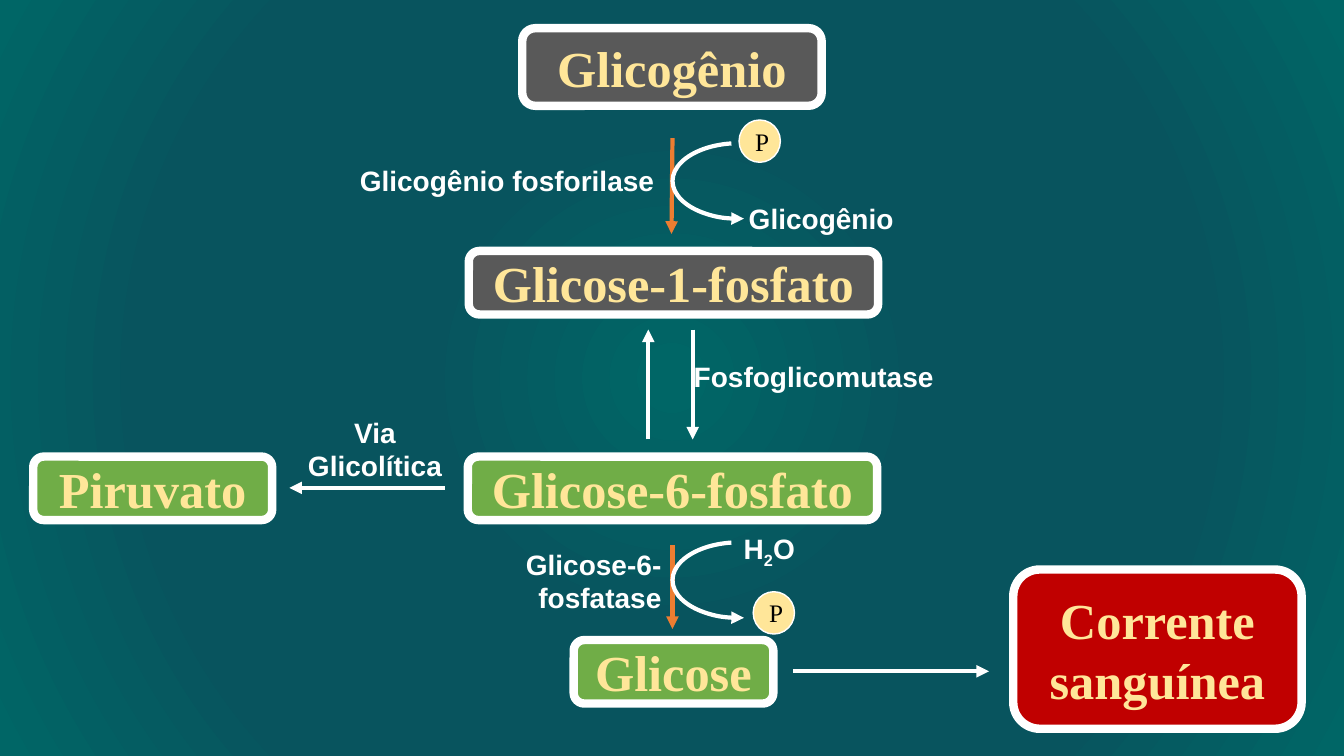
from lxml import etree
from pptx import Presentation
from pptx.dml.color import RGBColor
from pptx.enum.shapes import MSO_CONNECTOR, MSO_SHAPE
from pptx.enum.text import MSO_ANCHOR, PP_ALIGN
from pptx.oxml import parse_xml
from pptx.oxml.ns import nsdecls, qn
from pptx.util import Inches, Pt

ROUNDED, OVAL, ARC = MSO_SHAPE.ROUNDED_RECTANGLE, MSO_SHAPE.OVAL, MSO_SHAPE.ARC
STRAIGHT = MSO_CONNECTOR.STRAIGHT
CENTER, RIGHT = PP_ALIGN.CENTER, PP_ALIGN.RIGHT
MIDDLE = MSO_ANCHOR.MIDDLE

COLORS = {
    "teal": "006666",
    "deep": "08545E",
    "gray": "595959",
    "green": "70AD47",
    "red": "C00000",
    "cream": "FFE699",
    "orange": "ED7D31",
    "white": "FFFFFF",
    "black": "000000",
}


def style_text(shape, text, font, size, color, bold, align):
    frame = shape.text_frame
    frame.word_wrap = True
    frame.text = text
    paragraph = frame.paragraphs[0]
    paragraph.alignment = align
    run_font = paragraph.runs[0].font
    run_font.name, run_font.size, run_font.bold = font, Pt(size), bold
    run_font.color.rgb = RGBColor.from_string(COLORS[color])
    return paragraph


def style_line(shape, color, width, arrow_end=None):
    shape.line.color.rgb = RGBColor.from_string(COLORS[color])
    shape.line.width = Pt(width)
    if arrow_end:
        etree.SubElement(shape.line._get_or_add_ln(), qn(f"a:{arrow_end}"), type="triangle")


prs = Presentation()
prs.slide_width, prs.slide_height = Inches(13.33), Inches(7.5)
slide = prs.slides.add_slide(prs.slide_layouts[6])
shapes = slide.shapes

background = slide.background.fill
background.solid()
stops = "".join(
    f'<a:gs pos="{percent * 1000}"><a:srgbClr val="{COLORS[color]}"/></a:gs>'
    for percent, color in [(1, "teal"), (33, "deep"), (68, "deep"), (100, "teal")]
)
gradient = parse_xml(
    f'<a:gradFill {nsdecls("a")} rotWithShape="1"><a:gsLst>{stops}</a:gsLst>'
    '<a:path path="circle"><a:fillToRect l="50000" t="50000" r="50000" b="50000"/></a:path>'
    "</a:gradFill>"
)
solid = slide.element.find(".//" + qn("p:bgPr")).find(qn("a:solidFill"))
solid.getparent().replace(solid, gradient)

metabolites = [
    ("Glicogênio", "gray", 5.18, 0.28, 2.97, 0.77),
    ("Glicose-1-fosfato", "gray", 4.65, 2.49, 4.06, 0.63),
    ("Glicose-6-fosfato", "green", 4.64, 4.53, 4.06, 0.63),
    ("Piruvato", "green", 0.33, 4.53, 2.37, 0.63),
    ("Glicose", "green", 5.69, 6.35, 1.98, 0.63),
    ("Corrente sanguínea", "red", 10.05, 5.65, 2.86, 1.58),
]
for name, color, *place in metabolites:
    metabolite = shapes.add_shape(ROUNDED, *map(Inches, place))
    metabolite.shadow.inherit = False
    metabolite.fill.solid()
    metabolite.fill.fore_color.rgb = RGBColor.from_string(COLORS[color])
    style_line(metabolite, "white", 6)
    metabolite.text_frame.vertical_anchor = MIDDLE
    style_text(metabolite, name, "Times New Roman", 36, "cream", True, CENTER)

reactions = [
    ("orange", 6.67, 1.37, 6.66, 2.32),
    ("white", 6.43, 4.36, 6.43, 3.27),
    ("white", 6.87, 3.27, 6.87, 4.36),
    ("white", 4.41, 4.84, 2.87, 4.84),
    ("orange", 6.67, 5.41, 6.67, 6.24),
    ("white", 7.87, 6.66, 9.81, 6.66),
]
for color, *ends in reactions:
    reaction = shapes.add_connector(STRAIGHT, *map(Inches, ends))
    style_line(reaction, color, 3, "tailEnd")
    etree.SubElement(reaction._element.spPr, qn("a:effectLst"))

for top in (1.42, 5.38):
    exchange = shapes.add_shape(ARC, Inches(6.67), Inches(top), Inches(1.32), Inches(0.75))
    exchange.adjustments[0], exchange.adjustments[1] = 157.6, 47.06
    exchange.rotation = 180
    exchange.fill.background()
    style_line(exchange, "white", 3, "headEnd")
    exchange.shadow.inherit = False

for left, top in [(7.33, 1.19), (7.47, 5.87)]:
    phosphate = shapes.add_shape(OVAL, Inches(left), Inches(top), Inches(0.41), Inches(0.42))
    phosphate.shadow.inherit = False
    phosphate.fill.solid()
    phosphate.fill.fore_color.rgb = RGBColor.from_string(COLORS["cream"])
    style_line(phosphate, "white", 1)
    phosphate.text_frame.vertical_anchor = MIDDLE
    style_text(phosphate, "P", "Times New Roman", 18, "black", False, CENTER)

labels = [
    ("Glicogênio fosforilase", RIGHT, 3.12, 1.57, 3.47, 0.44),
    ("Glicogênio", CENTER, 7.22, 1.95, 1.85, 0.44),
    ("Fosfoglicomutase", RIGHT, 5.89, 3.52, 3.47, 0.44),
    ("Via Glicolítica", CENTER, 2.8, 4.07, 1.84, 0.77),
    ("Glicose-6-fosfatase", RIGHT, 4, 5.38, 2.66, 0.44),
]
for text, align, *place in labels:
    label = shapes.add_textbox(*map(Inches, place))
    style_text(label, text, "Arial", 20, "white", True, align)

water = shapes.add_textbox(Inches(7.11), Inches(5.22), Inches(1.04), Inches(0.44))
formula = style_text(water, "H", "Arial", 20, "white", True, CENTER)
for symbol, baseline in [("2", -25000), ("O", 0)]:
    part = formula.add_run()
    part.text = symbol
    part.font.name, part.font.size, part.font.bold = "Arial", Pt(20), True
    part.font.color.rgb = RGBColor.from_string(COLORS["white"])
    part._r.get_or_add_rPr().set("baseline", str(baseline))

prs.save("out.pptx")
